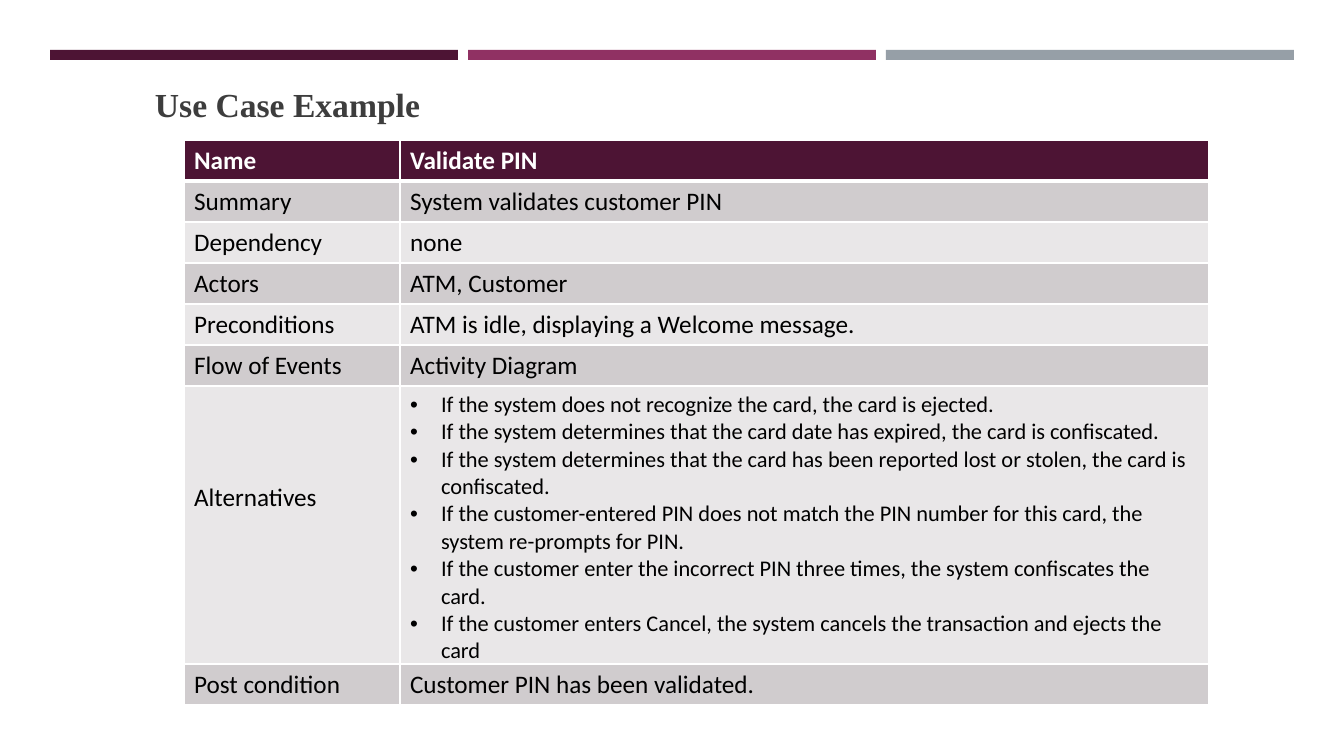
from dataclasses import dataclass

from lxml import etree
from pptx import Presentation
from pptx import util as u
from pptx.dml.color import RGBColor
from pptx.enum import shapes, text
from pptx.oxml import ns

TITLE = "Use Case Example"
USE_CASE = [
    ("Name", ["Validate PIN"]),
    ("Summary", ["System validates customer PIN"]),
    ("Dependency", ["none"]),
    ("Actors", ["ATM, Customer"]),
    ("Preconditions", ["ATM is idle, displaying a Welcome message."]),
    ("Flow of Events", ["Activity Diagram"]),
    ("Alternatives", [
        "If the system does not recognize the card, the card is ejected.",
        "If the system determines that the card date has expired, the card is confiscated.",
        "If the system determines that the card has been reported lost or stolen, the card is confiscated.",
        "If the customer-entered PIN does not match the PIN number for this card, the system re-prompts for PIN.",
        "If the customer enter the incorrect PIN three times, the system confiscates the card.",
        "If the customer enters Cancel, the system cancels the transaction and ejects the card",
    ]),
    ("Post condition", ["Customer PIN has been validated."]),
]


@dataclass(frozen=True)
class Theme:
    bars: tuple = ("4D1434", "903163", "969FA7")
    title: str = "3D3D3D"
    header: str = "4D1434"
    bands: tuple = ("E9E7E8", "D0CCCE")
    ink: str = "000000"
    white: str = "FFFFFF"
    title_font: str = "Times New Roman"
    body_font: str = "Calibri"
    title_size: int = 24
    body_size: int = 18
    list_size: int = 16
    rule: int = 1
    header_rule: int = 3


THEME = Theme()
PAGE_WIDTH, PAGE_HEIGHT = 1344, 756
BAR_LEFT, BAR_TOP, BAR_WIDTH, BAR_HEIGHT, BAR_GAP = 50, 50, 408, 10, 10
TITLE_BOX = (145, 76, 899, 92)
TITLE_BOTTOM_MARGIN = 41
TABLE_LEFT, TABLE_TOP = 184, 140
COLUMNS = (216, 809)
ROW_HEIGHT, LIST_HEIGHT = 41, 278
LIST_LABEL_MARGIN = 97
BULLET_INDENT = 31


def px(length):
    return u.Emu(round(length * u.Inches(1) / 100.8))


def add_span(para, words, font, size, color, bold=False):
    span = para.add_run()
    span.text = words
    span.font.name = font
    span.font.size = u.Pt(size)
    span.font.bold = bold
    span.font.color.rgb = RGBColor.from_string(color)


def add_bullet(para):
    props = para._p.get_or_add_pPr()
    props.set("marL", str(px(BULLET_INDENT)))
    props.set("indent", str(-px(BULLET_INDENT)))
    etree.SubElement(props, ns.qn("a:buFont"), typeface="Arial")
    etree.SubElement(props, ns.qn("a:buChar"), char="•")


def add_borders(cell, top, bottom):
    widths = {"lnL": THEME.rule, "lnR": THEME.rule, "lnT": top, "lnB": bottom}
    props = cell._tc.get_or_add_tcPr()
    for place, (side, width) in enumerate(widths.items()):
        line = etree.Element(ns.qn("a:" + side), w=str(u.Pt(width)))
        fill = etree.SubElement(line, ns.qn("a:solidFill"))
        etree.SubElement(fill, ns.qn("a:srgbClr"), val=THEME.white)
        props.insert(place, line)


def add_bars(page):
    for index, color in enumerate(THEME.bars):
        left = BAR_LEFT + index * (BAR_WIDTH + BAR_GAP)
        bar = page.shapes.add_shape(
            shapes.MSO_SHAPE.RECTANGLE,
            px(left), px(BAR_TOP), px(BAR_WIDTH), px(BAR_HEIGHT))
        bar.shadow.inherit = False
        bar.fill.solid()
        bar.fill.fore_color.rgb = RGBColor.from_string(color)
        bar.line.fill.background()


def add_title(page):
    box = page.shapes.add_textbox(*map(px, TITLE_BOX))
    frame = box.text_frame
    frame.word_wrap = True
    frame.vertical_anchor = text.MSO_ANCHOR.MIDDLE
    frame.margin_bottom = px(TITLE_BOTTOM_MARGIN)
    add_span(frame.paragraphs[0], TITLE, THEME.title_font,
             THEME.title_size, THEME.title, True)


def fill_cell(cell, lines, row):
    header = row == 0
    bulleted = len(lines) > 1
    cell.fill.solid()
    cell.fill.fore_color.rgb = RGBColor.from_string(
        THEME.header if header else THEME.bands[row % 2])
    add_borders(cell,
                THEME.header_rule if row == 1 else THEME.rule,
                THEME.header_rule if header else THEME.rule)
    frame = cell.text_frame
    for index, words in enumerate(lines):
        para = frame.add_paragraph() if index else frame.paragraphs[0]
        if bulleted:
            add_bullet(para)
        add_span(para, words, THEME.body_font,
                 THEME.list_size if bulleted else THEME.body_size,
                 THEME.white if header else THEME.ink, header)


def add_use_case(page):
    heights = [LIST_HEIGHT if len(lines) > 1 else ROW_HEIGHT
               for label, lines in USE_CASE]
    table = page.shapes.add_table(
        len(USE_CASE), len(COLUMNS), px(TABLE_LEFT), px(TABLE_TOP),
        px(sum(COLUMNS)), px(sum(heights))).table
    for column, width in zip(table.columns, COLUMNS):
        column.width = px(width)
    for row, (label, lines) in enumerate(USE_CASE):
        table.rows[row].height = px(heights[row])
        name, detail = table.cell(row, 0), table.cell(row, 1)
        fill_cell(name, [label], row)
        fill_cell(detail, lines, row)
        if len(lines) > 1:
            name.margin_top = px(LIST_LABEL_MARGIN)
            detail.margin_bottom = 0


def main():
    deck = Presentation()
    deck.slide_width, deck.slide_height = px(PAGE_WIDTH), px(PAGE_HEIGHT)
    page = deck.slides.add_slide(deck.slide_layouts[6])
    add_bars(page)
    add_title(page)
    add_use_case(page)
    deck.save("out.pptx")


if __name__ == "__main__":
    main()
